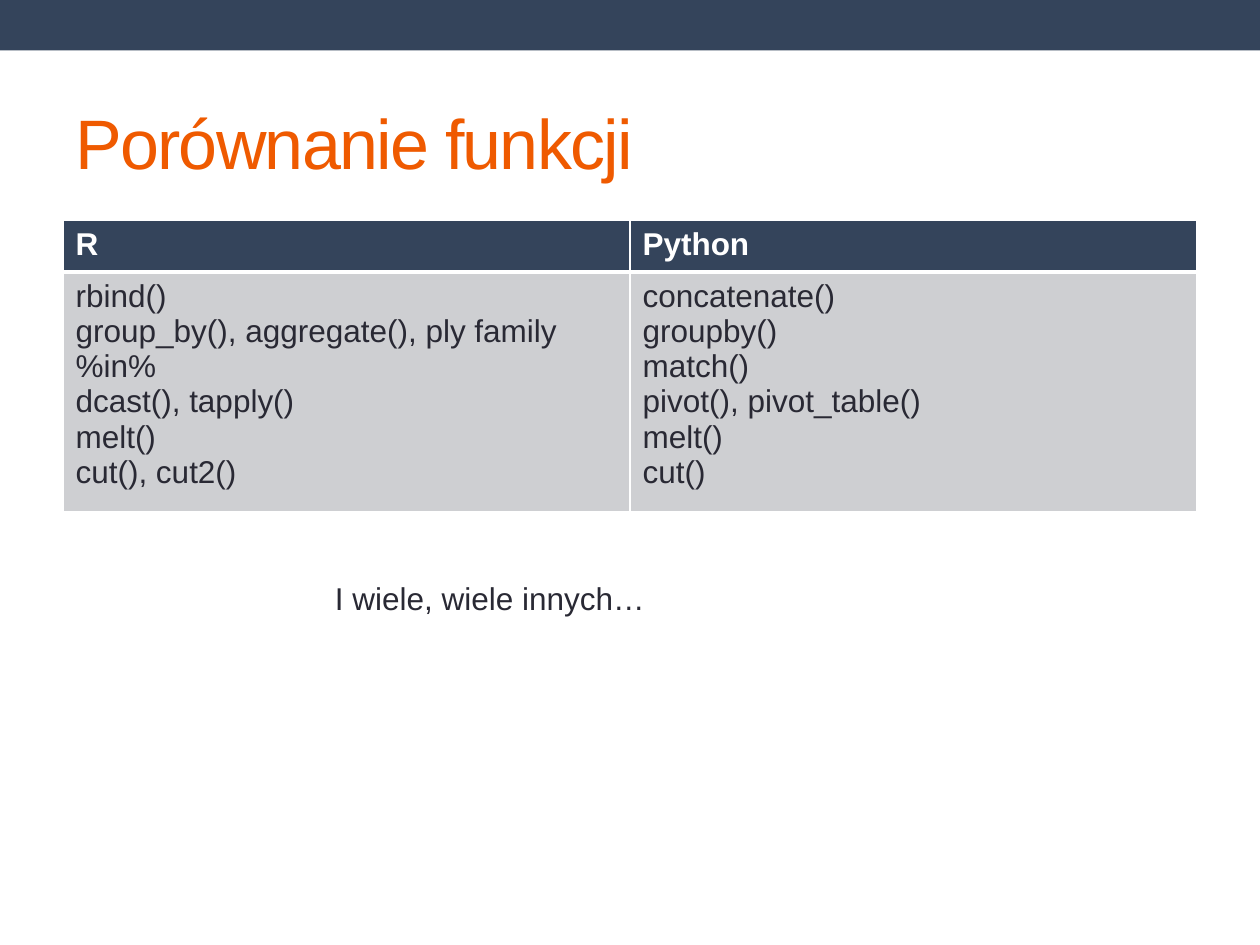
from dataclasses import dataclass

from lxml import etree
from pptx import Presentation
from pptx.dml.color import RGBColor
from pptx.enum.shapes import MSO_SHAPE
from pptx.enum.text import MSO_ANCHOR, MSO_AUTO_SIZE
from pptx.oxml.ns import qn
from pptx.util import Inches, Pt

RECTANGLE = MSO_SHAPE.RECTANGLE
MIDDLE = MSO_ANCHOR.MIDDLE
GROW = MSO_AUTO_SIZE.SHAPE_TO_FIT_TEXT


@dataclass(frozen=True)
class Theme:
    font: str = "Arial"
    navy: str = "34445B"
    orange: str = "EF5A00"
    ink: str = "292934"
    grey: str = "CECFD2"
    white: str = "FFFFFF"
    title_size: int = 40
    body_size: int = 18


THEME = Theme()

HEADERS = ("R", "Python")
FUNCTION_PAIRS = (
    ("rbind()", "concatenate()"),
    ("group_by(), aggregate(), ply family", "groupby()"),
    ("%in%", "match()"),
    ("dcast(), tapply()", "pivot(), pivot_table()"),
    ("melt()", "melt()"),
    ("cut(), cut2()", "cut()"),
)


def set_text(text_frame, text, size, color, bold=False, spacing=None):
    text_frame.text = text
    for paragraph in text_frame.paragraphs:
        for run in paragraph.runs:
            run.font.name = THEME.font
            run.font.size = Pt(size)
            run.font.bold = bold
            run.font.color.rgb = RGBColor.from_string(color)
            if spacing is not None:
                run.font._element.set("spc", str(spacing * 100))


def set_borders(cell, **widths):
    """Draw white cell borders; L, R, T and B are widths in points."""
    properties = cell._tc.get_or_add_tcPr()
    for side in "LRTB":
        line = etree.SubElement(properties, qn(f"a:ln{side}"), w=str(Pt(widths.get(side, 1))))
        fill = etree.SubElement(line, qn("a:solidFill"))
        etree.SubElement(fill, qn("a:srgbClr"), val=THEME.white)


def add_top_band(slide, left, top, width, height):
    band = slide.shapes.add_shape(RECTANGLE, left, top, width, height)
    band.shadow.inherit = False
    band.fill.solid()
    band.fill.fore_color.rgb = RGBColor.from_string(THEME.navy)
    band.line.fill.background()


def add_title(slide, left, top, width, height):
    text_frame = slide.shapes.add_textbox(left, top, width, height).text_frame
    text_frame.word_wrap = True
    text_frame.vertical_anchor = MIDDLE
    set_text(text_frame, "Porównanie funkcji", THEME.title_size, THEME.orange, spacing=-1)


def add_function_table(slide, left, top, width, height):
    table = slide.shapes.add_table(2, len(HEADERS), left, top, width, height).table
    header_height = Inches(0.41)
    table.rows[0].height = header_height
    table.rows[1].height = height - header_height

    bodies = ["\n".join(names) for names in zip(*FUNCTION_PAIRS)]
    row_styles = (
        (HEADERS, THEME.navy, THEME.white, True, {"B": 3}),
        (bodies, THEME.grey, THEME.ink, False, {"T": 3}),
    )
    for row, (texts, fill, color, bold, borders) in enumerate(row_styles):
        for column, text in enumerate(texts):
            cell = table.cell(row, column)
            set_borders(cell, **borders)
            cell.fill.solid()
            cell.fill.fore_color.rgb = RGBColor.from_string(fill)
            set_text(cell.text_frame, text, THEME.body_size, color, bold)


def add_closing_note(slide, left, top, width, height):
    text_frame = slide.shapes.add_textbox(left, top, width, height).text_frame
    text_frame.word_wrap = True
    text_frame.auto_size = GROW
    set_text(text_frame, "I wiele, wiele innych…", THEME.body_size, THEME.ink)


def main():
    presentation = Presentation()
    presentation.slide_width = Inches(10)
    presentation.slide_height = Inches(7.5)
    slide = presentation.slides.add_slide(presentation.slide_layouts[6])

    margin = Inches(0.5)
    content_width = presentation.slide_width - 2 * margin
    add_top_band(slide, 0, 0, presentation.slide_width, Inches(0.4))
    add_title(slide, margin, Inches(0.58), content_width, Inches(1.08))
    add_function_table(slide, margin, Inches(1.75), content_width, Inches(2.18))
    add_closing_note(slide, Inches(2.56), Inches(4.55), Inches(6.69), Inches(0.4))

    presentation.save("out.pptx")


if __name__ == "__main__":
    main()
